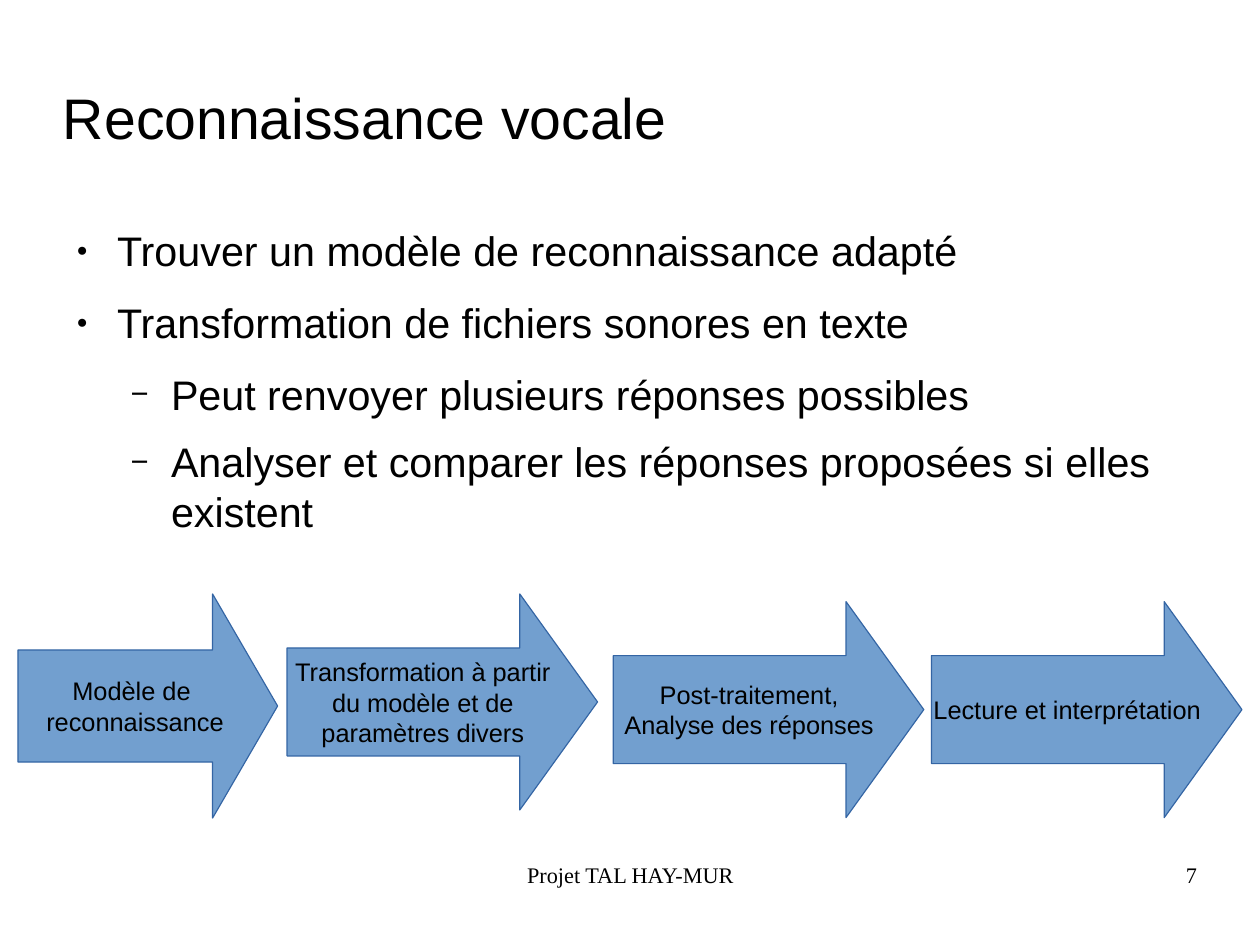
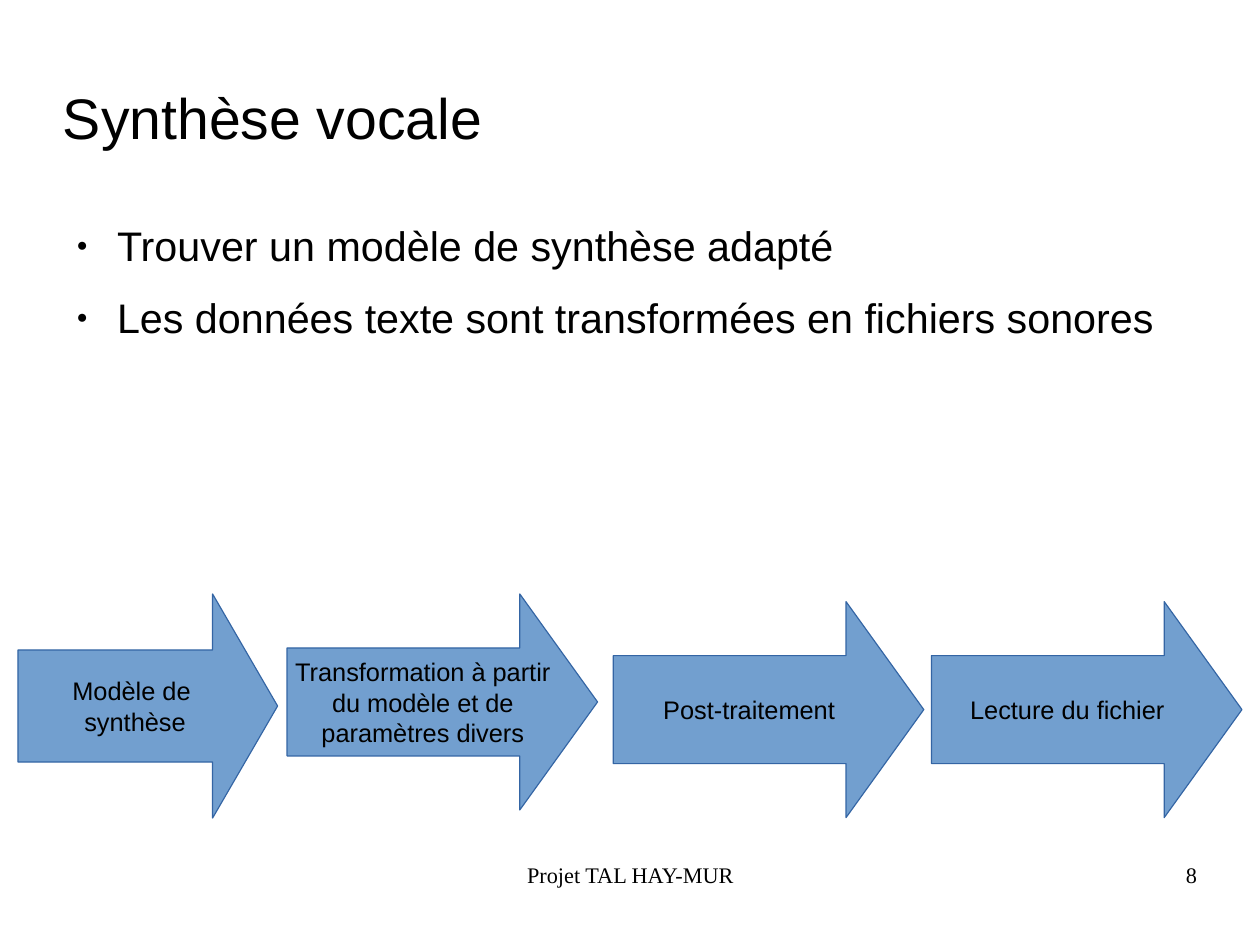
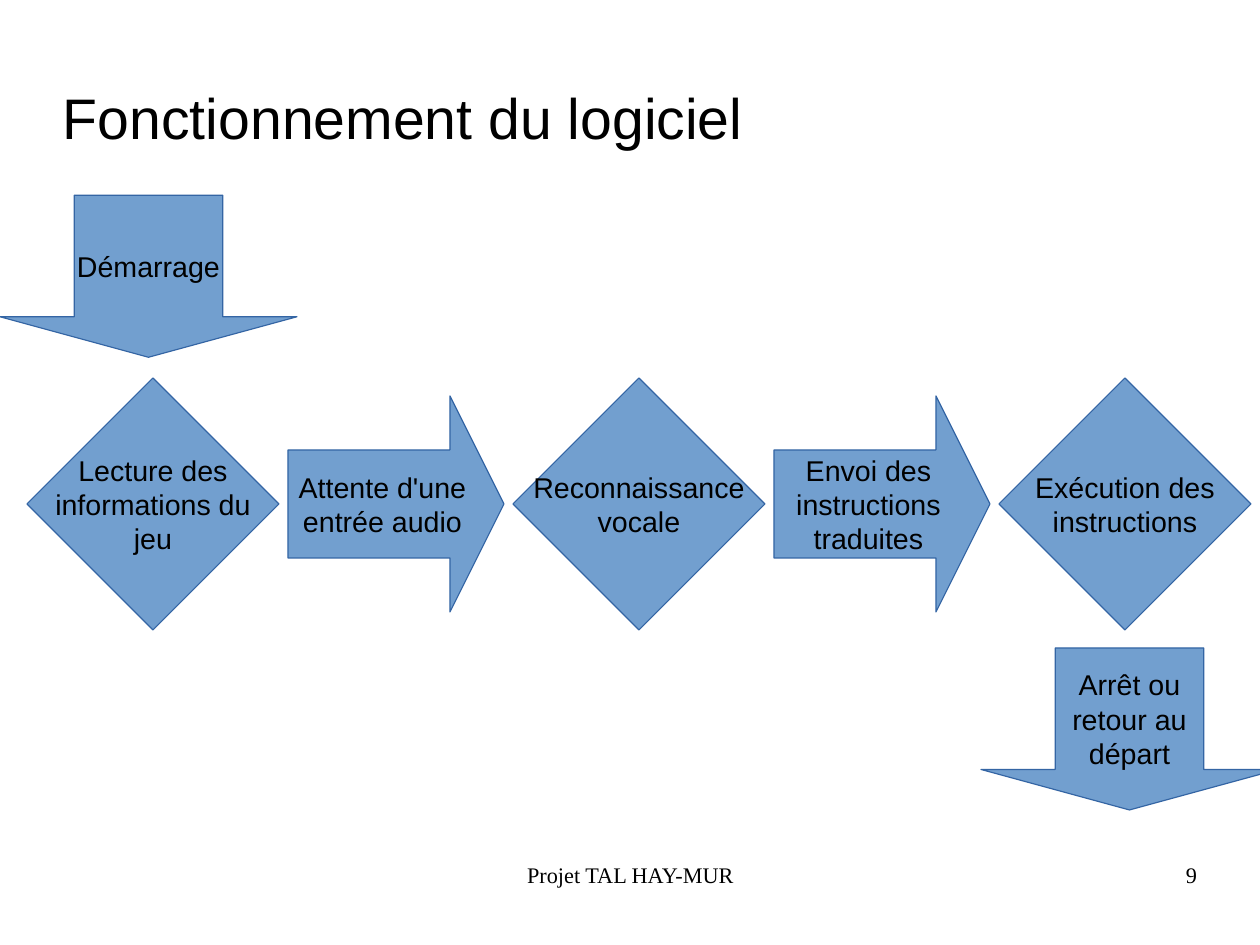
from lxml import etree
from pptx import Presentation
from pptx.dml.color import RGBColor
from pptx.enum.shapes import MSO_SHAPE
from pptx.enum.text import MSO_ANCHOR, MSO_AUTO_SIZE, PP_ALIGN
from pptx.oxml.ns import qn
from pptx.util import Cm, Pt

RIGHT, DOWN, DIAMOND = MSO_SHAPE.RIGHT_ARROW, MSO_SHAPE.DOWN_ARROW, MSO_SHAPE.DIAMOND
LEFT_AL, CENTER_AL, RIGHT_AL = PP_ALIGN.LEFT, PP_ALIGN.CENTER, PP_ALIGN.RIGHT
TOP, MIDDLE = MSO_ANCHOR.TOP, MSO_ANCHOR.MIDDLE
COLORS = {"text": "000000", "fill": "729FCF", "line": "3465A4"}
SANS, SERIF = "Arial", "Times New Roman"
TITLE_ONLY, TITLE_BODY = 5, 1

# Content
FOOTER = "Projet TAL HAY-MUR"
FIRST_NUMBER = 7
PIPELINES = [
    {
        "title": "Reconnaissance vocale",
        "body_box": (1.4, 5, 25.2, 12.17),
        "bullets": [
            (0, "Trouver un modèle de reconnaissance adapté"),
            (0, "Transformation de fichiers sonores en texte"),
            (1, "Peut renvoyer plusieurs réponses possibles"),
            (1, "Analyser et comparer les réponses proposées si elles existent"),
        ],
        "steps": [
            ["Modèle de", " reconnaissance"],
            ["Transformation à partir", "du modèle et de", "paramètres divers"],
            ["Post-traitement,", "Analyse des réponses"],
            ["Lecture et interprétation"],
        ],
    },
    {
        "title": "Synthèse vocale",
        "body_box": (1.4, 4.9, 25.2, 5.7),
        "bullets": [
            (0, "Trouver un modèle de synthèse adapté"),
            (0, "Les données texte sont transformées en fichiers sonores"),
        ],
        "steps": [
            ["Modèle de", " synthèse"],
            ["Transformation à partir", "du modèle et de", "paramètres divers"],
            ["Post-traitement"],
            ["Lecture du fichier"],
        ],
    },
]
WORKFLOW_TITLE = "Fonctionnement du logiciel"
START = ["Démarrage"]
STAGES = [
    (DIAMOND, ["Lecture des", "informations du", "jeu"]),
    (RIGHT, ["Attente d'une", "entrée audio"]),
    (DIAMOND, ["Reconnaissance", "vocale"]),
    (RIGHT, ["Envoi des", "instructions", "traduites"]),
    (DIAMOND, ["Exécution des", "instructions"]),
]
END = ["Arrêt ou", "retour au", "départ"]

# Layout, in centimetres
TITLE_BOX = (1.4, 1.6, 20, 2)
FOOTER_BOX = (9.58, 19.13, 8.86, 1.45)
NUMBER_BOX = (20.07, 19.13, 6.53, 1.45)
STEP_BOXES = [  # box, length of the arrow head relative to its height
    ((0.4, 13.2, 5.77, 4.98), 0.29),
    ((6.38, 13.2, 6.9, 4.8), 0.36),
    ((13.63, 13.37, 6.9, 4.8), 0.36),
    ((20.7, 13.37, 6.9, 4.8), 0.36),
]
STAGE_SIZE = {DIAMOND: 5.6, RIGHT: 4.8}
STAGE_LEFT, STAGE_GAP, STAGE_MIDDLE = 0.6, 0.2, 11.2
START_BOX = (0, 4.34, 6.6, 3.6)
END_BOX = (21.8, 14.4, 6.6, 3.6)
BULLETS = [  # one per level: character, size %, space after, left margin
    ("●", 45, 14.2, 1.2),
    ("−", 75, 11.3, 2.4),
]
HANGING = 0.9


def cm(box):
    return [Cm(v) for v in box]


def rgb(name):
    return RGBColor.from_string(COLORS[name])


def write(tf, lines, size, font=SANS, align=LEFT_AL, anchor=TOP, wrap=True, margins=(0, 0)):
    """Write one paragraph per line and return the paragraphs."""
    tf.auto_size = MSO_AUTO_SIZE.NONE
    tf.word_wrap, tf.vertical_anchor = wrap, anchor
    tf.margin_left = tf.margin_right = Cm(margins[0])
    tf.margin_top = tf.margin_bottom = Cm(margins[1])
    for i, line in enumerate(lines):
        p = tf.add_paragraph() if i else tf.paragraphs[0]
        p.alignment = align
        r = p.add_run()
        r.text = line
        r.font.size, r.font.name = Pt(size), font
        r.font.color.rgb = rgb("text")
    return tf.paragraphs


def place(sp, box):
    sp.left, sp.top, sp.width, sp.height = cm(box)


def add_bullet(p, level):
    char, percent, after, margin = BULLETS[level]
    p.level = level
    p.space_before, p.space_after = Pt(0), Pt(after)
    pPr = p._p.get_or_add_pPr()
    pPr.set("marL", str(Cm(margin)))
    pPr.set("indent", str(-Cm(HANGING)))
    color = etree.SubElement(pPr, qn("a:buClr"))
    etree.SubElement(color, qn("a:srgbClr"), val=COLORS["text"])
    etree.SubElement(pPr, qn("a:buSzPct"), val=str(percent * 1000))
    etree.SubElement(pPr, qn("a:buChar"), char=char)


def add_node(shapes, kind, box, lines, size, head=0.25):
    sp = shapes.add_shape(kind, *cm(box))
    sp.shadow.inherit = False
    sp.fill.solid()
    sp.fill.fore_color.rgb = rgb("fill")
    sp.line.color.rgb = rgb("line")
    sp.line.width = Pt(0)
    if kind != DIAMOND:
        sp.adjustments[0], sp.adjustments[1] = 0.5, head
    write(sp.text_frame, lines, size, align=CENTER_AL, anchor=MIDDLE,
          wrap=False, margins=(0.25, 0.13))


def add_slide(prs, layout, title):
    """Add a slide with the shared title, footer and number."""
    s = prs.slides.add_slide(prs.slide_layouts[layout])
    place(s.shapes.title, TITLE_BOX)
    write(s.shapes.title.text_frame, [title], 36, anchor=MIDDLE)
    number = str(FIRST_NUMBER + len(prs.slides) - 1)
    for box, text, align in [(FOOTER_BOX, FOOTER, CENTER_AL), (NUMBER_BOX, number, RIGHT_AL)]:
        write(s.shapes.add_textbox(*cm(box)).text_frame, [text], 14, font=SERIF, align=align)
    return s


def add_pipeline(prs, data):
    s = add_slide(prs, TITLE_BODY, data["title"])
    body = s.placeholders[1]
    place(body, data["body_box"])
    paragraphs = write(body.text_frame, [text for _, text in data["bullets"]], 26)
    for p, (level, _) in zip(paragraphs, data["bullets"]):
        add_bullet(p, level)
    group = s.shapes.add_group_shape()
    for (box, head), lines in zip(STEP_BOXES, data["steps"]):
        add_node(group.shapes, RIGHT, box, lines, 16, head)


def add_workflow(prs):
    s = add_slide(prs, TITLE_ONLY, WORKFLOW_TITLE)
    left = STAGE_LEFT
    for kind, lines in STAGES:
        size = STAGE_SIZE[kind]
        add_node(s.shapes, kind, (left, STAGE_MIDDLE - size / 2, size, size), lines, 18)
        left += size + STAGE_GAP
    for box, lines in [(START_BOX, START), (END_BOX, END)]:
        add_node(s.shapes, DOWN, box, lines, 18)


def main():
    prs = Presentation()
    prs.slide_width, prs.slide_height = Cm(28), Cm(21)
    for data in PIPELINES:
        add_pipeline(prs, data)
    add_workflow(prs)
    prs.save("out.pptx")


if __name__ == "__main__":
    main()
